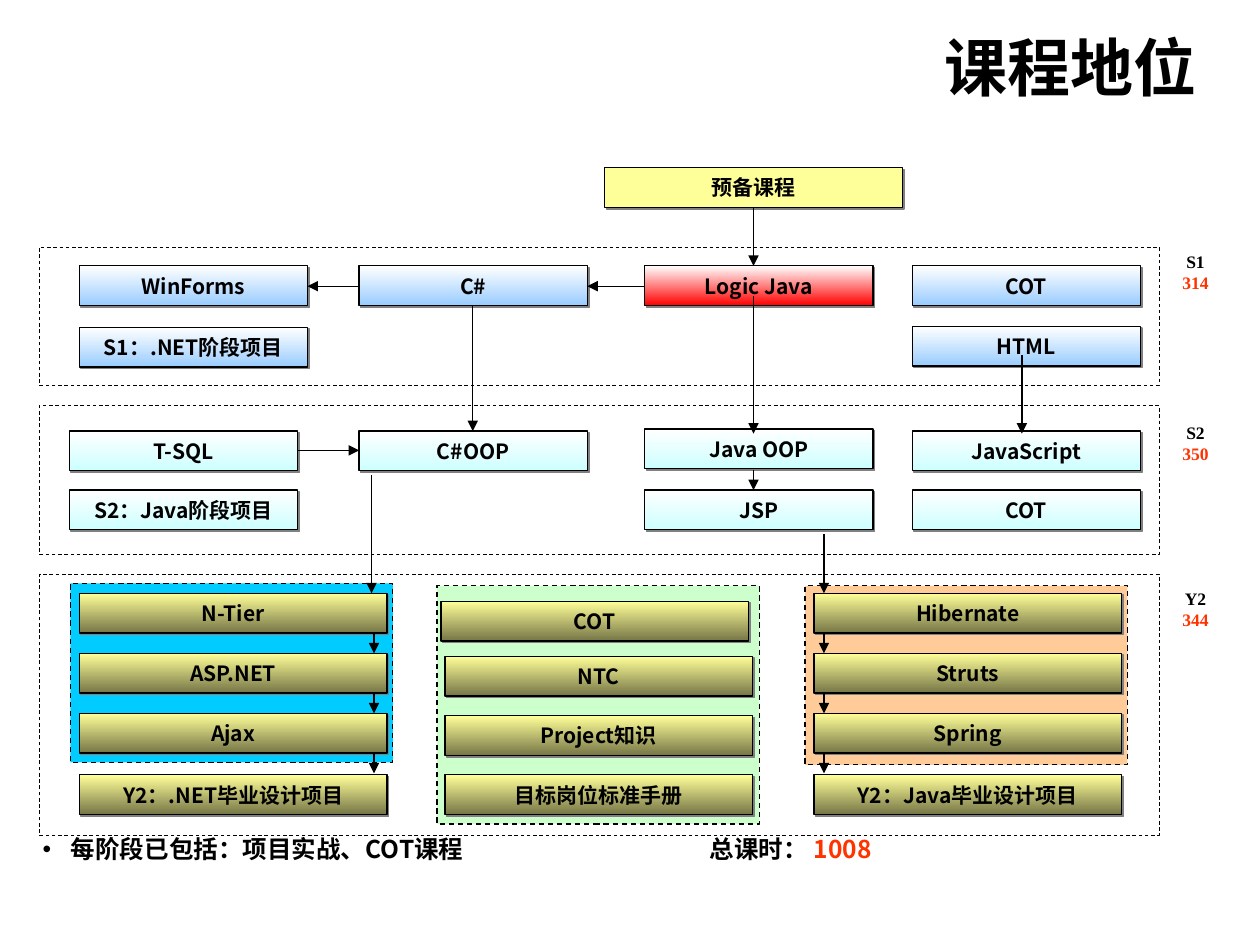
from lxml.etree import SubElement
from pptx import Presentation
from pptx.dml.color import RGBColor
from pptx.enum.dml import MSO_LINE
from pptx.enum.shapes import MSO_CONNECTOR, MSO_SHAPE
from pptx.enum.text import MSO_ANCHOR, PP_ALIGN
from pptx.oxml.ns import qn
from pptx.util import Cm, Pt

THEME = {
    "ink": "000000", "hours": "FF3300", "shade": "808080",
    "prep": ("FFFF99",), "blue": ("FFFFFF", "99CCFF"), "red": ("FFFFFF", "FF0000"),
    "aqua": ("FFFFFF", "CCFFFF"), "gold": ("FFFF99", "767647"),
    "sans": "Noto Sans CJK SC", "serif": "Times New Roman", "head": "Arial",
    "title": 36, "foot": 14, "box": 12, "label": 10,
}

# Stages: name, hours, label top, band top, band height
STAGES = [("S1", "314", 4.93, 4.98, 2.79),
          ("S2", "350", 8.38, 8.18, 3.0),
          ("Y2", "344", 11.73, 11.58, 5.26)]

# Groups in Y2: left, top, height, fill
GROUPS = [(8.81, 11.81, 4.8, "CCFFCC"),
          (16.23, 11.81, 3.61, "FFCC99"),
          (1.42, 11.76, 3.61, "00CCFF")]

# Course columns: left, width, fill, [(top, name)]
COURSES = [
    (12.19, 6.0, "prep", [(3.38, "预备课程")]),
    (1.6, 4.6, "blue", [(5.36, "WinForms"), (6.6, "S1：.NET阶段项目")]),
    (7.24, 4.6, "blue", [(5.36, "C#")]),
    (13.0, 4.6, "red", [(5.36, "Logic Java")]),
    (18.39, 4.6, "blue", [(5.36, "COT"), (6.58, "HTML")]),
    (1.4, 4.6, "aqua", [(8.69, "T-SQL"), (9.88, "S2：Java阶段项目")]),
    (7.24, 4.6, "aqua", [(8.69, "C#OOP")]),
    (13.0, 4.6, "aqua", [(8.65, "Java OOP"), (9.88, "JSP")]),
    (18.39, 4.6, "aqua", [(8.69, "JavaScript"), (9.88, "COT")]),
    (1.6, 6.2, "gold", [(11.96, "N-Tier"), (13.17, "ASP.NET"), (14.38, "Ajax"),
                        (15.62, "Y2：.NET毕业设计项目")]),
    (8.89, 6.2, "gold", [(12.12, "COT")]),
    (8.97, 6.2, "gold", [(13.23, "NTC"), (14.43, "Project知识"), (15.62, "目标岗位标准手册")]),
    (16.41, 6.2, "gold", [(11.96, "Hibernate"), (13.17, "Struts"), (14.38, "Spring"),
                          (15.62, "Y2：Java毕业设计项目")]),
]
HIGH = 0.8

# Arrows down: x, [(start, end)]; arrows across: y, start, end
STEPS = [(12.78, 13.17), (13.97, 14.38), (15.18, 15.59)]
DOWN = [(15.19, [(4.17, 5.36), (5.97, 8.74), (9.47, 9.88)]),
        (20.6, [(7.16, 8.74)]),
        (9.53, [(6.17, 8.69)]),
        (7.49, [(9.58, 11.96)]),
        (16.61, [(10.77, 11.96)] + STEPS),
        (7.54, STEPS)]
ACROSS = [(5.77, 7.24, 6.2), (5.77, 13.0, 11.84), (9.08, 6.0, 7.24)]


def color(code):
    return RGBColor.from_string(code)


def write(frame, lines, size="box", font="sans", align=PP_ALIGN.CENTER, anchor=MSO_ANCHOR.MIDDLE):
    """Each line is a list of (text, color key) runs."""
    frame.word_wrap = True
    frame.vertical_anchor = anchor
    for i, line in enumerate(lines):
        para = frame.paragraphs[0] if i == 0 else frame.add_paragraph()
        para.alignment = align
        for text, key in line:
            run = para.add_run()
            run.text = text
            face = run.font
            face.size, face.bold, face.name = Pt(THEME[size]), True, THEME[font]
            face.color.rgb = color(THEME[key])
            SubElement(face._element, qn("a:ea"), typeface=THEME["sans"])


def text_box(left, top, width, height, lines, **style):
    box = slide.shapes.add_textbox(Cm(left), Cm(top), Cm(width), Cm(height))
    write(box.text_frame, lines, **style)
    return box


def block(left, top, width, height, fill=(), kind=MSO_SHAPE.RECTANGLE, line=0.75, dash=True):
    shape = slide.shapes.add_shape(kind, Cm(left), Cm(top), Cm(width), Cm(height))
    shape.shadow.inherit = False
    if len(fill) == 2:
        shape.fill.gradient()
        shape.fill.gradient_angle = 270
        for stop, code in zip(shape.fill.gradient_stops, fill):
            stop.color.rgb = color(code)
    elif fill:
        shape.fill.solid()
        shape.fill.fore_color.rgb = color(fill[0])
    else:
        shape.fill.background()
    shape.line.color.rgb = color(THEME["ink"])
    shape.line.width = Pt(line)
    if dash:
        shape.line.dash_style = MSO_LINE.DASH
    return shape


def course(left, top, width, fill, name):
    shape = block(left, top, width, HIGH, THEME[fill], MSO_SHAPE.FLOWCHART_PROCESS, dash=False)
    cast = SubElement(shape._element.spPr.find(qn("a:effectLst")), qn("a:outerShdw"),
                      dist=str(Pt(1.4)), dir="2700000", algn="ctr", rotWithShape="0")
    SubElement(cast, qn("a:srgbClr"), val=THEME["shade"])
    write(shape.text_frame, [[(name, "ink")]])


def arrow(x1, y1, x2, y2):
    link = slide.shapes.add_connector(MSO_CONNECTOR.STRAIGHT, Cm(x1), Cm(y1), Cm(x2), Cm(y2))
    link.line.color.rgb = color(THEME["ink"])
    link.line.width = Pt(0.75)
    SubElement(link.line._get_or_add_ln(), qn("a:tailEnd"), type="triangle")
    SubElement(link._element.spPr, qn("a:effectLst"))


deck = Presentation()
deck.slide_width, deck.slide_height = Cm(25.4), Cm(19.05)
slide = deck.slides.add_slide(deck.slide_layouts[6])

# Title
text_box(1.5, 0.53, 22.86, 1.6, [[("课程地位", "ink")]],
         size="title", font="head", align=PP_ALIGN.RIGHT)

# Groups, then stage bands with their hours
for left, top, height, fill in GROUPS:
    block(left, top, 6.5, height, (fill,))
for name, hours, top, band, height in STAGES:
    block(0.79, band, 22.58, height, line=0.5)
    text_box(23.11, top, 1.98, 1.4, [[(name, "ink")], [(hours, "hours")]],
             size="label", font="serif", anchor=MSO_ANCHOR.TOP)

# Courses
for left, width, fill, items in COURSES:
    for top, name in items:
        course(left, top, width, fill, name)

# Arrows
for x, spans in DOWN:
    for start, end in spans:
        arrow(x, start, x, end)
for y, start, end in ACROSS:
    arrow(start, y, end, y)

# Footer: bullet and a tab stop before the total
foot = text_box(0.61, 16.69, 24.0, 0.86,
                [[("每阶段已包括：项目实战、COT课程\t总课时： ", "ink"), ("1008", "hours")]],
                size="foot", align=PP_ALIGN.LEFT, anchor=MSO_ANCHOR.TOP)
props = foot.text_frame.paragraphs[0]._p.get_or_add_pPr()
props.set("marL", str(Cm(0.57)))
props.set("indent", str(-Cm(0.57)))
SubElement(props, qn("a:buFont"), typeface=THEME["head"])
SubElement(props, qn("a:buChar"), char="•")
SubElement(SubElement(props, qn("a:tabLst")), qn("a:tab"), pos=str(Cm(13.45)), algn="l")

deck.save("out.pptx")
